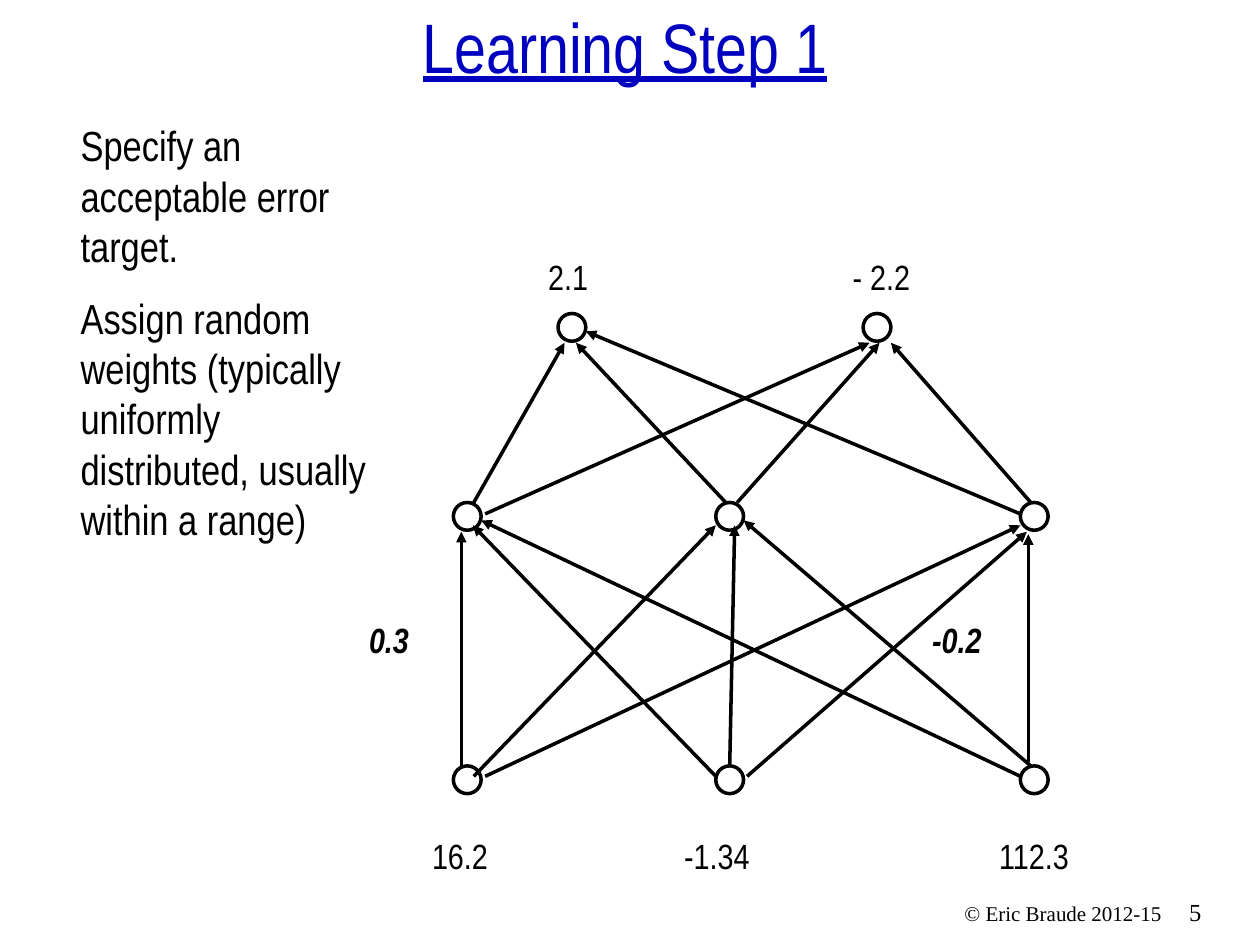
from dataclasses import dataclass

from lxml.etree import SubElement
from pptx import Presentation
from pptx.dml.color import RGBColor
from pptx.enum.shapes import MSO_CONNECTOR, MSO_SHAPE
from pptx.enum.text import MSO_ANCHOR, MSO_AUTO_SIZE, PP_ALIGN
from pptx.oxml.ns import qn
from pptx.util import Cm, Pt


@dataclass(frozen=True)
class Theme:
    ink: RGBColor = RGBColor(0, 0, 0)
    title_color: RGBColor = RGBColor(0, 0, 0xBF)
    node_fill: RGBColor = RGBColor(255, 255, 255)
    font: str = "Arial Narrow"
    footer_font: str = "Times New Roman"
    title_size: int = 40
    body_size: int = 24
    label_size: int = 20
    number_size: int = 14
    footer_size: int = 12
    line_width: int = 2


@dataclass(frozen=True)
class Label:
    text: str
    left: float
    top: float
    width: float
    height: float = 1.09
    size: int = Theme.label_size
    font: str = Theme.font
    emphasis: bool = False
    align: PP_ALIGN = PP_ALIGN.LEFT


@dataclass(frozen=True)
class Edge:
    start_x: float
    start_y: float
    end_x: float
    end_y: float


THEME = Theme()
NODE_SIZE = 0.56
LAYERS = {
    6.32: (11.25, 17.4),
    10.13: (9.14, 14.43, 20.57),
    15.44: (9.14, 14.43, 20.57),
}
INPUT_EDGES = (
    Edge(9.3, 15.44, 9.3, 10.72),
    Edge(9.55, 15.65, 14.43, 10.59),
    Edge(9.78, 15.65, 20.57, 10.59),
    Edge(14.43, 15.65, 9.53, 10.59),
    Edge(14.71, 15.44, 14.81, 10.59),
    Edge(15.06, 15.65, 20.7, 10.72),
    Edge(20.57, 15.65, 9.7, 10.49),
    Edge(20.78, 15.44, 14.99, 10.49),
    Edge(20.73, 15.37, 20.73, 10.77),
)
OUTPUT_EDGES = (
    Edge(9.55, 10.13, 11.38, 6.91),
    Edge(9.78, 10.36, 17.53, 6.91),
    Edge(14.63, 10.13, 11.61, 6.91),
    Edge(14.86, 10.13, 17.73, 6.91),
    Edge(20.57, 10.36, 11.81, 6.68),
    Edge(20.78, 10.13, 17.96, 6.91),
)
LABELS = (
    Label("16.2", 8.46, 16.69, 2.31),
    Label("-1.34", 13.54, 16.69, 2.74),
    Label("112.3", 19.89, 16.69, 2.54),
    Label("2.1", 10.8, 5.03, 1.47),
    Label("- 2.2", 16.94, 5.03, 1.91),
    Label("0.3", 7.19, 12.34, 1.47, emphasis=True),
    Label("-0.2", 18.54, 12.34, 1.63, emphasis=True),
    Label("5", 23.72, 17.96, 1.47, 0.84, THEME.number_size, THEME.footer_font),
    Label("© Eric Braude 2012-15", 16.89, 18.03, 6.78, 0.76,
          THEME.footer_size, THEME.footer_font, align=PP_ALIGN.RIGHT),
)


def place(shape, left: float, top: float, width: float, height: float) -> None:
    shape.left, shape.top = Cm(left), Cm(top)
    shape.width, shape.height = Cm(width), Cm(height)


def format_runs(paragraph, size: int, font: str, color: RGBColor) -> None:
    for run in paragraph.runs:
        run.font.size = Pt(size)
        run.font.name = font
        run.font.color.rgb = color


def fill_title(title) -> None:
    place(title, 0, 0.53, 25.2, 1.37)
    frame = title.text_frame
    frame.text = "Learning Step 1"
    frame.auto_size = MSO_AUTO_SIZE.NONE
    frame.vertical_anchor = MSO_ANCHOR.BOTTOM
    paragraph = frame.paragraphs[0]
    paragraph.alignment = PP_ALIGN.CENTER
    format_runs(paragraph, THEME.title_size, THEME.font, THEME.title_color)
    paragraph.runs[0].font.underline = True


def fill_body(body) -> None:
    place(body, 1.37, 2.29, 6.6, 8.97)
    frame = body.text_frame
    frame.text = (
        "Specify an acceptable error target.\n"
        "Assign random weights (typically uniformly distributed, "
        "usually within a range)"
    )
    frame.auto_size = MSO_AUTO_SIZE.NONE
    frame.vertical_anchor = MSO_ANCHOR.TOP
    for index, paragraph in enumerate(frame.paragraphs):
        paragraph.space_before = Pt(index * THEME.body_size / 2)
        format_runs(paragraph, THEME.body_size, THEME.font, THEME.ink)
        properties = paragraph._p.get_or_add_pPr()
        properties.set("marL", "0")
        properties.set("indent", "0")
        SubElement(properties, qn("a:buNone"))


def add_node(slide, left: float, top: float) -> None:
    node = slide.shapes.add_shape(
        MSO_SHAPE.OVAL, Cm(left), Cm(top), Cm(NODE_SIZE), Cm(NODE_SIZE)
    )
    node.shadow.inherit = False
    node.fill.solid()
    node.fill.fore_color.rgb = THEME.node_fill
    node.line.color.rgb = THEME.ink
    node.line.width = Pt(THEME.line_width)


def add_edge(slide, edge: Edge) -> None:
    connector = slide.shapes.add_connector(
        MSO_CONNECTOR.STRAIGHT,
        Cm(edge.start_x), Cm(edge.start_y), Cm(edge.end_x), Cm(edge.end_y),
    )
    connector.line.color.rgb = THEME.ink
    connector.line.width = Pt(THEME.line_width)
    SubElement(connector.line._get_or_add_ln(), qn("a:tailEnd"), type="triangle")
    SubElement(connector._element.spPr, qn("a:effectLst"))


def add_label(slide, label: Label) -> None:
    box = slide.shapes.add_textbox(
        Cm(label.left), Cm(label.top), Cm(label.width), Cm(label.height)
    )
    frame = box.text_frame
    frame.word_wrap = True
    frame.text = label.text
    paragraph = frame.paragraphs[0]
    paragraph.alignment = label.align
    format_runs(paragraph, label.size, label.font, THEME.ink)
    paragraph.runs[0].font.bold = label.emphasis
    paragraph.runs[0].font.italic = label.emphasis


def main() -> None:
    presentation = Presentation()
    presentation.slide_width, presentation.slide_height = Cm(25.4), Cm(19.05)
    slide = presentation.slides.add_slide(presentation.slide_layouts[1])
    fill_title(slide.shapes.title)
    fill_body(slide.placeholders[1])
    for top, lefts in LAYERS.items():
        for left in lefts:
            add_node(slide, left, top)
    for edge in INPUT_EDGES + OUTPUT_EDGES:
        add_edge(slide, edge)
    for label in LABELS:
        add_label(slide, label)
    presentation.save("out.pptx")


main()
